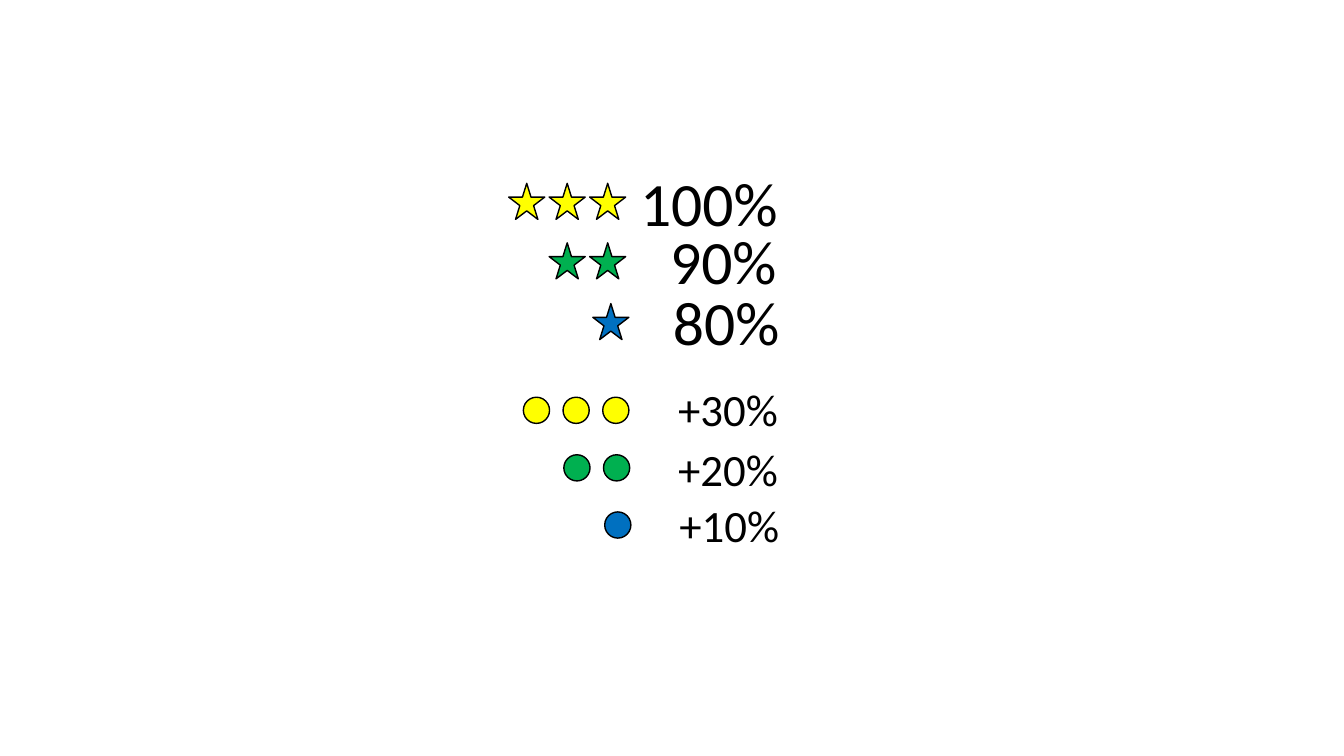
"""Build a slide that rates stars and dots with percentages."""
from pptx import Presentation
from pptx.dml.color import RGBColor
from pptx.enum.shapes import MSO_SHAPE as Preset
from pptx.enum.text import MSO_AUTO_SIZE as AutoSize
from pptx.util import Cm, Pt

COLOURS = {"gold": "FFFF00", "green": "00B050", "blue": "0070C0", "black": "000000"}

STARS = dict(preset=Preset.STAR_5_POINT, mark_size=0.91, step=1.02,
             label_height=2.13, font_size=44)
DOTS = dict(preset=Preset.OVAL, mark_size=0.66, step=1.0,
            label_height=1.63, font_size=32)

RATINGS = [
    (STARS, 3, "gold", (14.86, 4.62), "100%", (15.88, 4.04, 4.0)),
    (STARS, 2, "green", (14.86, 6.12), "90%", (16.64, 5.49, 3.33)),
    (STARS, 1, "blue", (14.94, 7.65), "80%", (16.71, 7.04, 3.25)),
    (DOTS, 3, "gold", (15.19, 10.01), "+30%", (16.84, 9.5, 3.1)),
    (DOTS, 2, "green", (15.21, 11.46), "+20%", (16.84, 11.0, 3.15)),
    (DOTS, 1, "blue", (15.24, 12.9), "+10%", (16.87, 12.42, 3.07)),
]


def colour(name):
    """Return the named colour."""
    return RGBColor.from_string(COLOURS[name])


def add_mark(row, preset, left, top, size, fill):
    """Add one outlined rating mark to a row."""
    mark = row.shapes.add_shape(preset, Cm(left), Cm(top), Cm(size), Cm(size))
    mark.shadow.inherit = False
    mark.fill.solid()
    mark.fill.fore_color.rgb = colour(fill)
    mark.line.color.rgb = colour("black")
    mark.line.width = Pt(1)


def add_label(row, text, left, top, width, height, *, size, font="Calibri", ink="black"):
    """Add a formatted percentage to a row."""
    label = row.shapes.add_textbox(Cm(left), Cm(top), Cm(width), Cm(height))
    frame = label.text_frame
    frame.word_wrap = True
    frame.auto_size = AutoSize.SHAPE_TO_FIT_TEXT
    run = frame.paragraphs[0].add_run()
    run.text = text
    run.font.name = font
    run.font.size = Pt(size)
    run.font.color.rgb = colour(ink)


def add_rating(slide, style, count, fill, last_mark, percentage, label_place):
    """Add a grouped row whose marks run leftwards from the last one."""
    row = slide.shapes.add_group_shape()
    last_left, top = last_mark
    for place in reversed(range(count)):
        add_mark(row, style["preset"], last_left - place * style["step"], top,
                 style["mark_size"], fill)
    add_label(row, percentage, *label_place, style["label_height"],
              size=style["font_size"])


def main():
    """Build and save the slide."""
    deck = Presentation()
    deck.slide_width, deck.slide_height = Cm(33.87), Cm(19.05)
    slide = deck.slides.add_slide(deck.slide_layouts[6])
    for rating in RATINGS:
        add_rating(slide, *rating)
    deck.save("out.pptx")


main()
